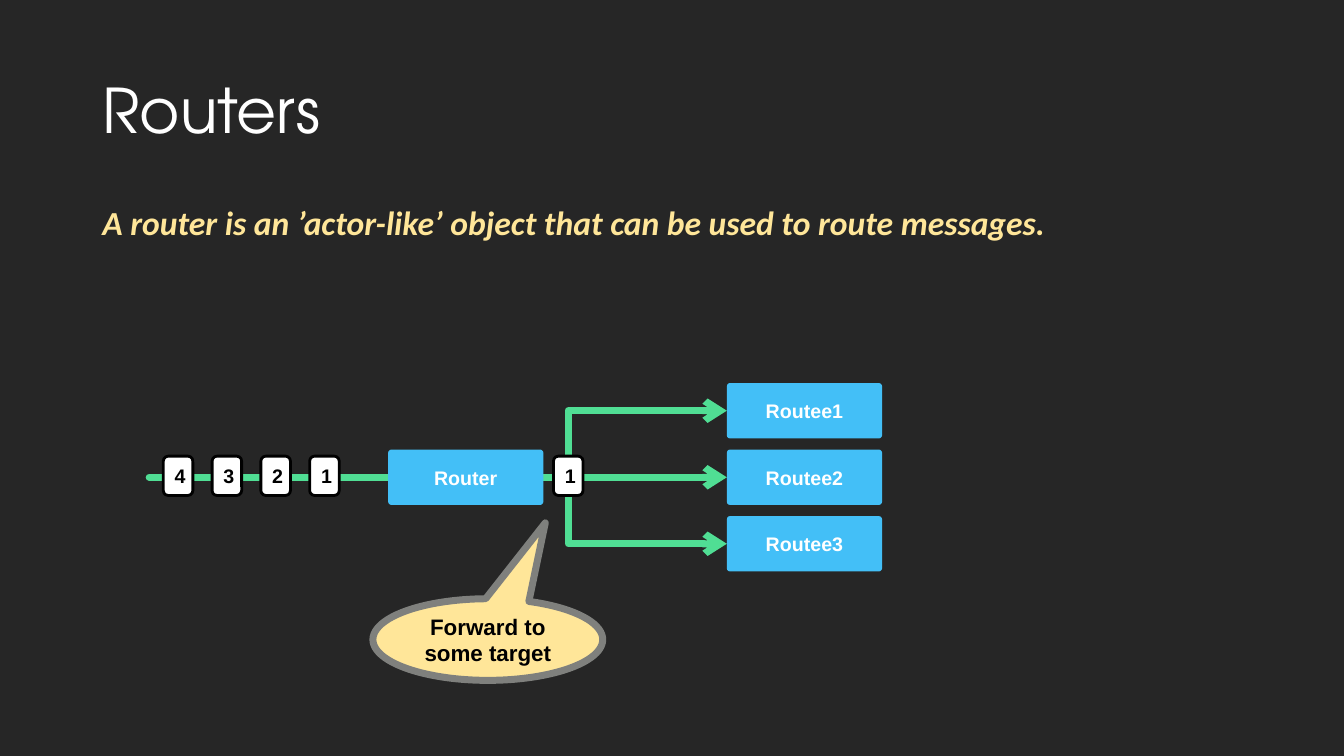
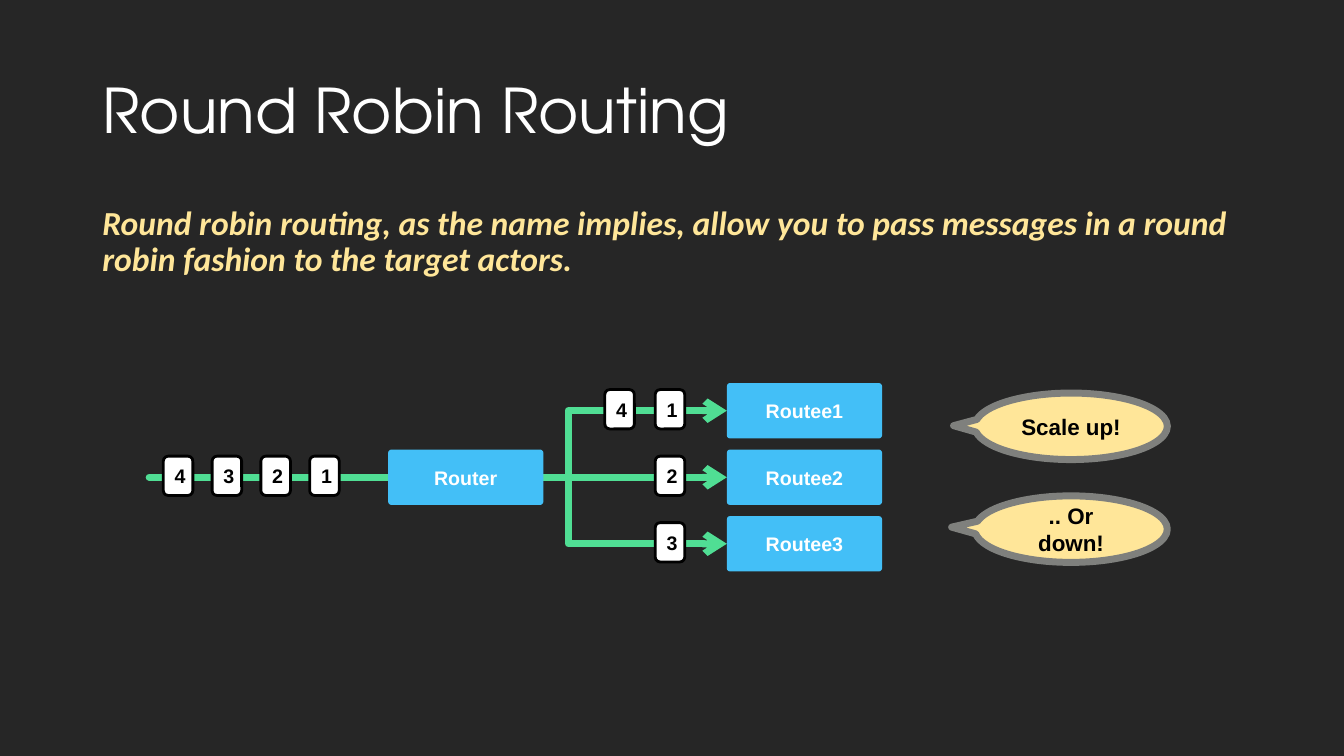
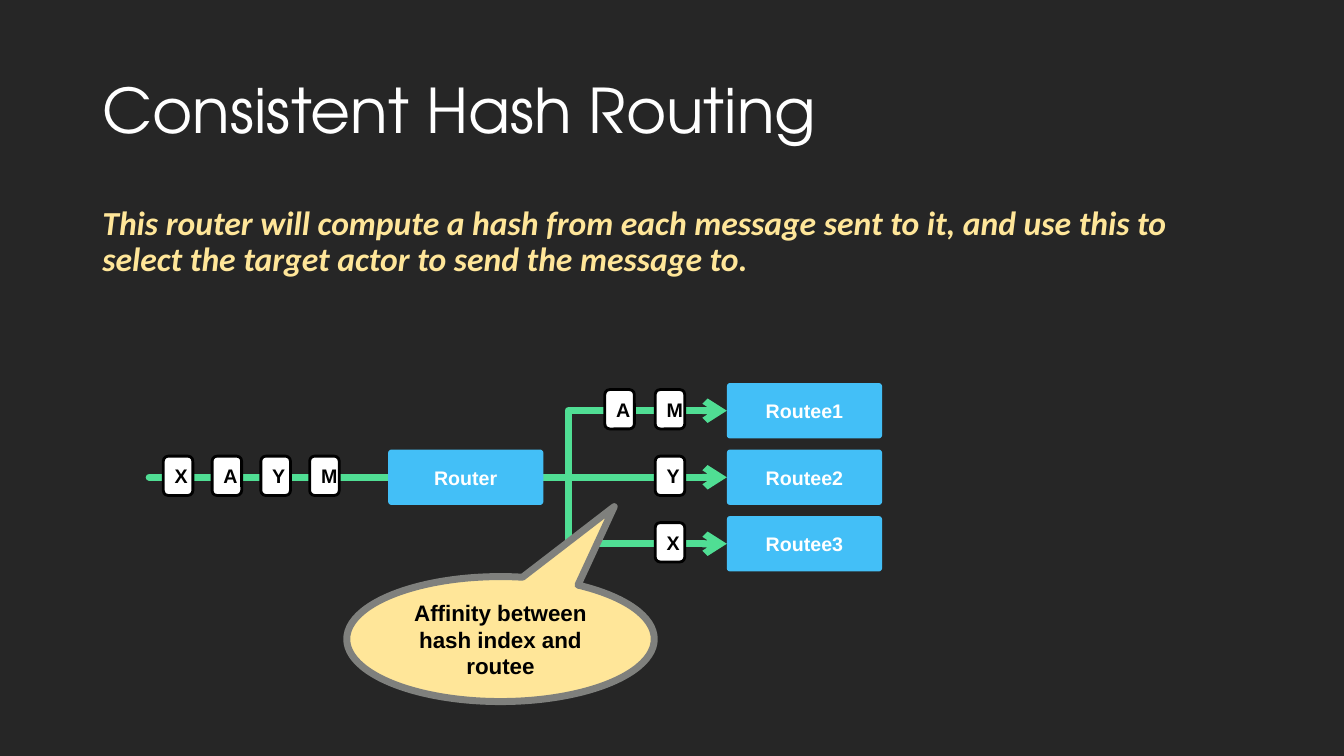
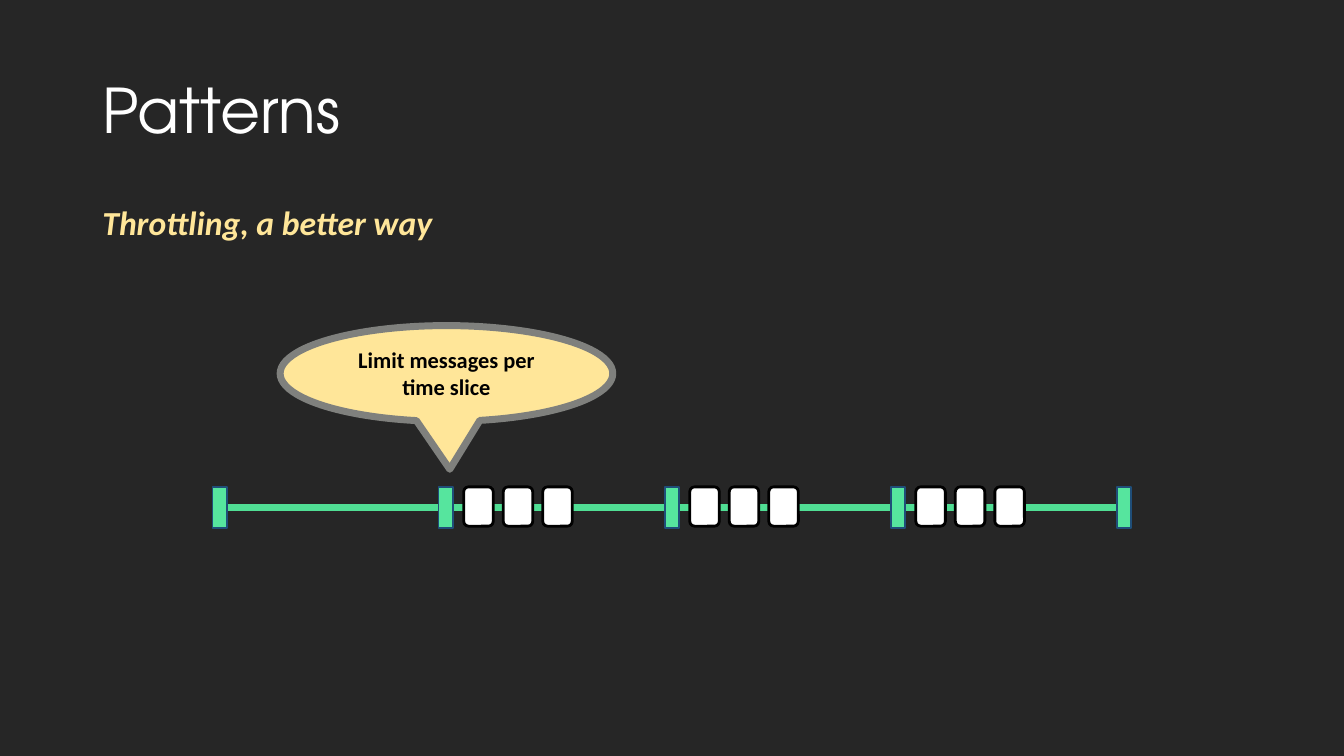
from dataclasses import dataclass

from lxml.etree import SubElement
from pptx import Presentation
from pptx.dml.color import RGBColor as RGB
from pptx.enum.shapes import MSO_CONNECTOR as LINK, MSO_SHAPE as SHAPE
from pptx.enum.text import MSO_ANCHOR as ANCHOR, PP_ALIGN as ALIGN
from pptx.oxml.ns import qn
from pptx.util import Inches, Pt


@dataclass(frozen=True)
class Theme:
    back: str = "262626"
    white: str = "FFFFFF"
    black: str = "000000"
    cream: str = "FFE699"
    grey: str = "7F807D"
    blue: str = "43BFF7"
    green: str = "50DE94"
    mint: str = "56E59E"
    navy: str = "1F4E79"
    title_font: str = "TeX Gyre Adventor"
    body_font: str = "Calibri"
    label_font: str = "Arial"
    title_size: int = 44
    body_size: int = 24
    callout_size: int = 16
    label_size: int = 14
    thick: int = 5
    medium: int = 2
    thin: int = 1


T = Theme()
prs = Presentation()
prs.slide_width, prs.slide_height = Inches(13.33), Inches(7.5)
COL, ROW = prs.slide_width / 100, prs.slide_height / 100
bg = prs.slide_master.background.fill
bg.solid()
bg.fore_color.rgb = RGB.from_string(T.back)


def add_box(s, kind, x, y, w, h, fill, line=None, width=0, text="",
            size=T.label_size, color=T.black, font=T.label_font, adj=()):
    sp = s.shapes.add_shape(kind, int(x * COL), int(y * ROW), int(w * COL), int(h * ROW))
    sp.shadow.inherit = False
    sp.fill.solid()
    sp.fill.fore_color.rgb = RGB.from_string(fill)
    if line:
        sp.line.color.rgb = RGB.from_string(line)
        sp.line.width = Pt(width)
    else:
        sp.line.fill.background()
    for i, value in enumerate(adj):
        sp.adjustments[i] = value
    if text:
        tf = sp.text_frame
        tf.text = text
        tf.word_wrap = True
        tf.vertical_anchor = ANCHOR.MIDDLE
        p = tf.paragraphs[0]
        p.alignment = ALIGN.CENTER
        f = p.runs[0].font
        f.name, f.size, f.bold = font, Pt(size), True
        f.color.rgb = RGB.from_string(color)


def add_line(s, x1, y1, x2, y2, bend=None, arrow=False, cap="rnd"):
    kind = LINK.STRAIGHT if bend is None else LINK.ELBOW
    cx = s.shapes.add_connector(kind, int(x1 * COL), int(y1 * ROW), int(x2 * COL), int(y2 * ROW))
    cx.line.color.rgb = RGB.from_string(T.green)
    cx.line.width = Pt(T.thick)
    pr = cx._element.spPr
    ln = pr.find(qn("a:ln"))
    ln.set("cap", cap)
    SubElement(ln, qn("a:round"))
    if arrow:
        SubElement(ln, qn("a:tailEnd"), type="arrow")
    if bend is not None:
        guides = pr.find(qn("a:prstGeom")).find(qn("a:avLst"))
        SubElement(guides, qn("a:gd"), name="adj1", fmla=f"val {bend}")
    SubElement(pr, qn("a:effectLst"))


NODE_W, NODE_H = 11.55, 7.33
TOKEN_W, TOKEN_H = 2.2, 5.2
ROUTER_X, ROUTEE_X = 28.88, 54.08
LANE_TOP, LANE_STEP = 50.67, 8.8
MIDDLE = LANE_TOP + LANE_STEP + NODE_H / 2
TOKEN_RISE = TOKEN_H / 2 + 0.2

slides = [
    ("Routers",
     "A router is an ’actor-like’ object that can be used to route messages.",
     "4321", [(41.18, 1, "1")],
     [("Forward to some target", 27.75, 79.2, 17.1, 10.8, (0.25, -1.43))]),
    ("Round Robin Routing",
     "Round robin routing, as the name implies, allow you to pass messages in a round robin fashion to the target actors.",
     "4321", [(45, 0, "4"), (48.75, 0, "1"), (48.75, 1, "2"), (48.75, 2, "3")],
     [("Scale up!", 72.53, 52, 14.33, 8.8, (-0.61, -0.01)),
      (".. Or down!", 72.53, 65.6, 14.33, 8.8, (-0.62, -0.03))]),
    ("Consistent Hash Routing",
     "This router will compute a hash from each message sent to it, and use this to select the target actor to send the message to.",
     "XAYM", [(45, 0, "A"), (48.75, 0, "M"), (48.75, 1, "Y"), (48.75, 2, "X")],
     [("Affinity between hash index and routee", 25.8, 76.27, 22.88, 16.53, (0.37, -1.06))]),
    ("Patterns", "Throttling, a better way", "", [],
     [("Limit messages per time slice", 20.85, 43.07, 24.75, 12.67, (0.01, 1))]),
]

for title, body, queue, routed, callouts in slides:
    s = prs.slides.add_slide(prs.slide_layouts[6])
    for text, y, h, anchor, font, size, color, strong in (
        (title, 5.33, 19.33, ANCHOR.MIDDLE, T.title_font, T.title_size, T.white, False),
        (body, 26.67, 63.47, ANCHOR.TOP, T.body_font, T.body_size, T.cream, True),
    ):
        tf = s.shapes.add_textbox(int(6.88 * COL), int(y * ROW), int(86.25 * COL), int(h * ROW)).text_frame
        tf.text = text
        tf.word_wrap = True
        tf.vertical_anchor = anchor
        p = tf.paragraphs[0]
        p.line_spacing = 0.9
        f = p.runs[0].font
        f.name, f.size, f.bold, f.italic = font, Pt(size), strong, strong
        f.color.rgb = RGB.from_string(color)

    if queue:
        for lane in (2, 0, 1):
            y = LANE_TOP + lane * LANE_STEP + NODE_H / 2
            add_line(s, ROUTER_X + NODE_W, MIDDLE, ROUTEE_X, y,
                     bend=None if lane == 1 else 13500, arrow=True)
        add_line(s, 11.1, MIDDLE, ROUTER_X, MIDDLE)
        tokens = [(12.15 + 3.63 * i, 1, mark) for i, mark in enumerate(queue)] + routed
        for x, lane, mark in tokens:
            y = LANE_TOP + lane * LANE_STEP + NODE_H / 2 - TOKEN_RISE
            add_box(s, SHAPE.ROUNDED_RECTANGLE, x, y, TOKEN_W, TOKEN_H,
                    T.white, T.black, T.medium, mark)
        nodes = [("Router", ROUTER_X, 1)] + [(f"Routee{i + 1}", ROUTEE_X, i) for i in range(3)]
        for name, x, lane in nodes:
            add_box(s, SHAPE.ROUNDED_RECTANGLE, x, LANE_TOP + lane * LANE_STEP, NODE_W, NODE_H,
                    T.blue, text=name, color=T.white, adj=(0.06,))
    else:
        tick_x, tick_w, slice_w, top = 15.83, 1.05, 16.82, 64.4
        add_line(s, tick_x + tick_w, 67.13, tick_x + 4 * slice_w, 67.13, cap="flat")
        for i in range(5):
            add_box(s, SHAPE.RECTANGLE, tick_x + i * slice_w, top, tick_w, 5.47,
                    T.mint, T.navy, T.thin)
        for i in range(1, 4):
            for j in range(3):
                add_box(s, SHAPE.ROUNDED_RECTANGLE, tick_x + i * slice_w + 1.85 + j * 2.94, top,
                        TOKEN_W, TOKEN_H, T.white, T.black, T.medium)

    for text, x, y, w, h, adj in callouts:
        add_box(s, SHAPE.OVAL_CALLOUT, x, y, w, h, T.cream, T.grey, T.thick, text,
                T.callout_size, font=T.label_font if queue else T.body_font, adj=adj)

prs.save("out.pptx")
